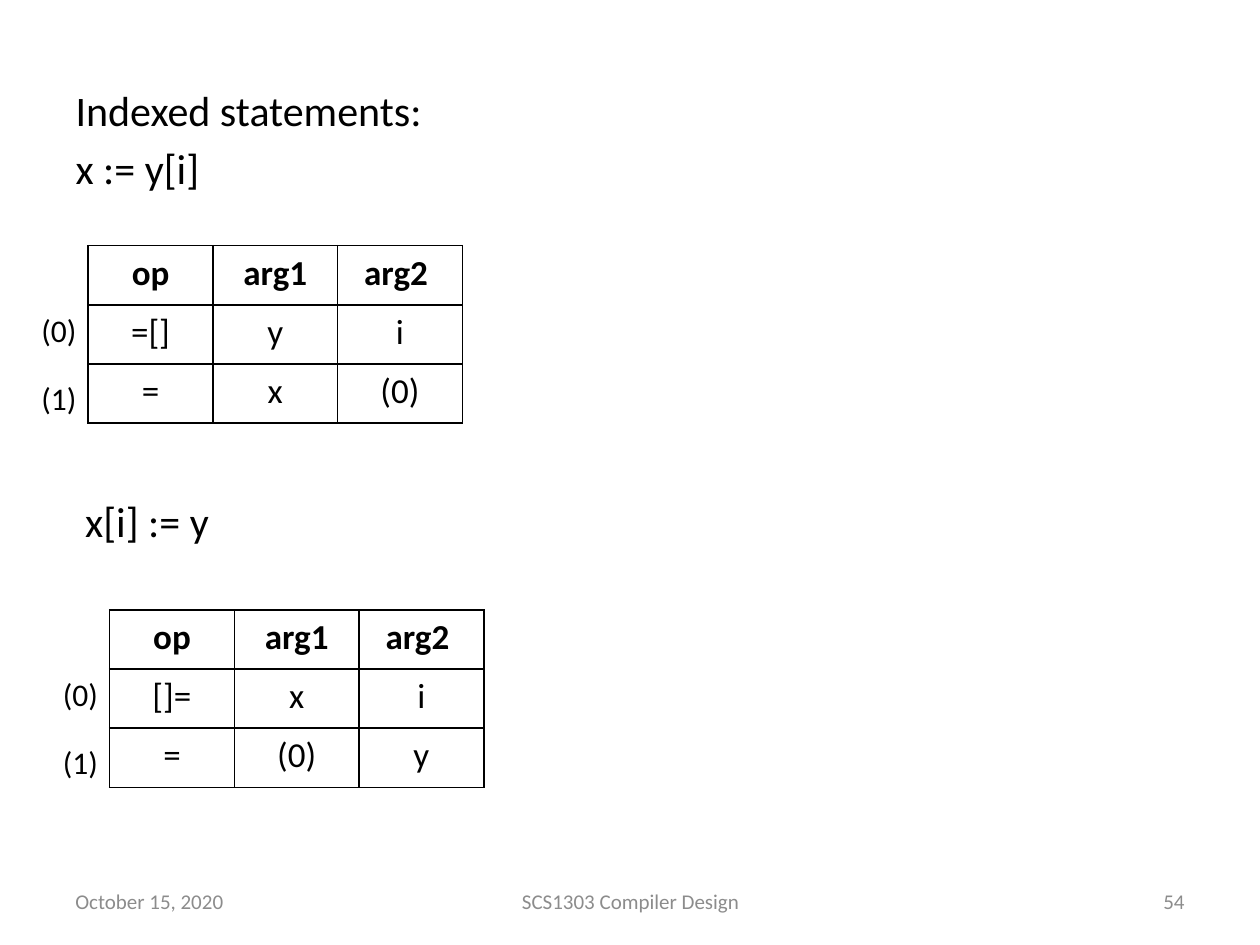
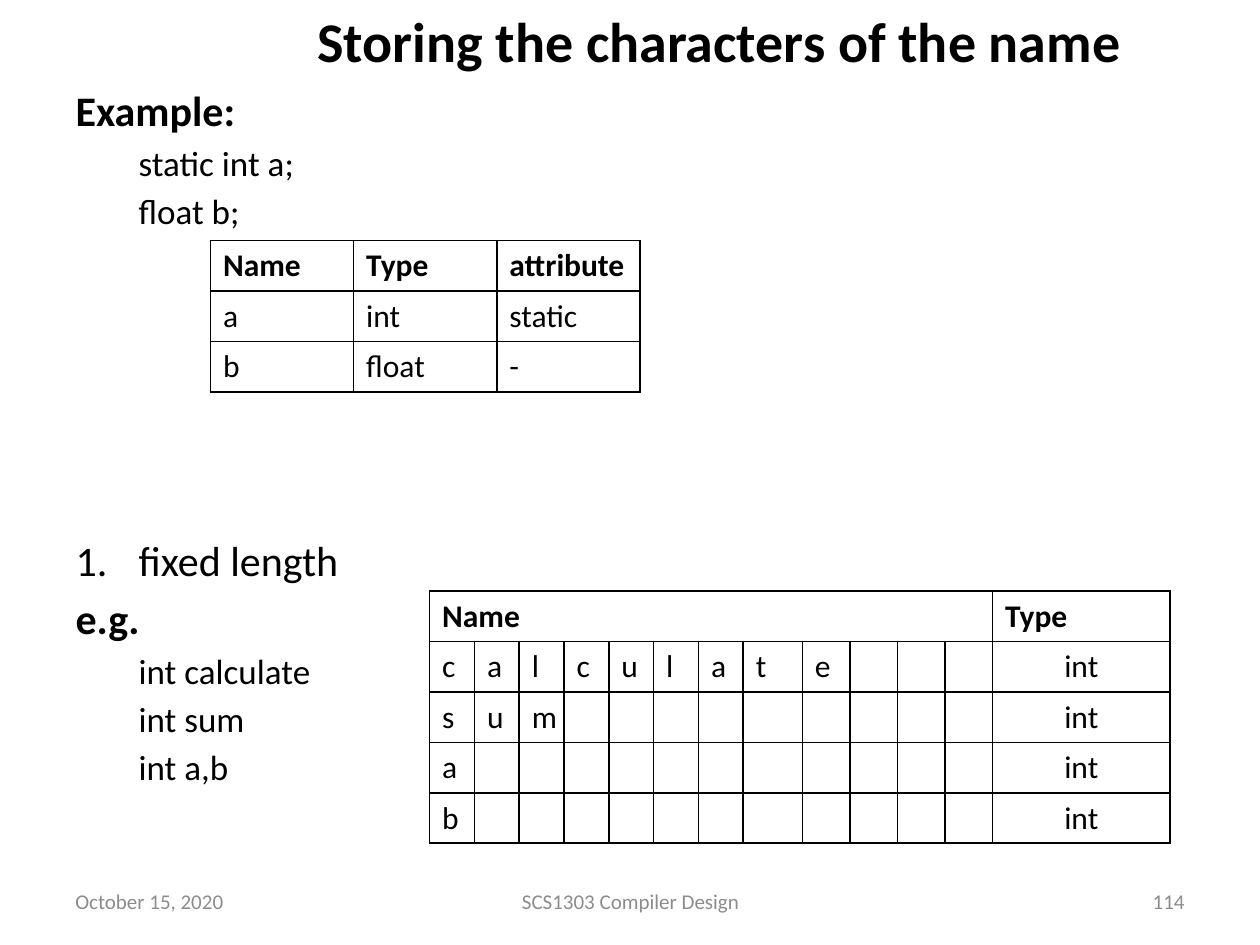
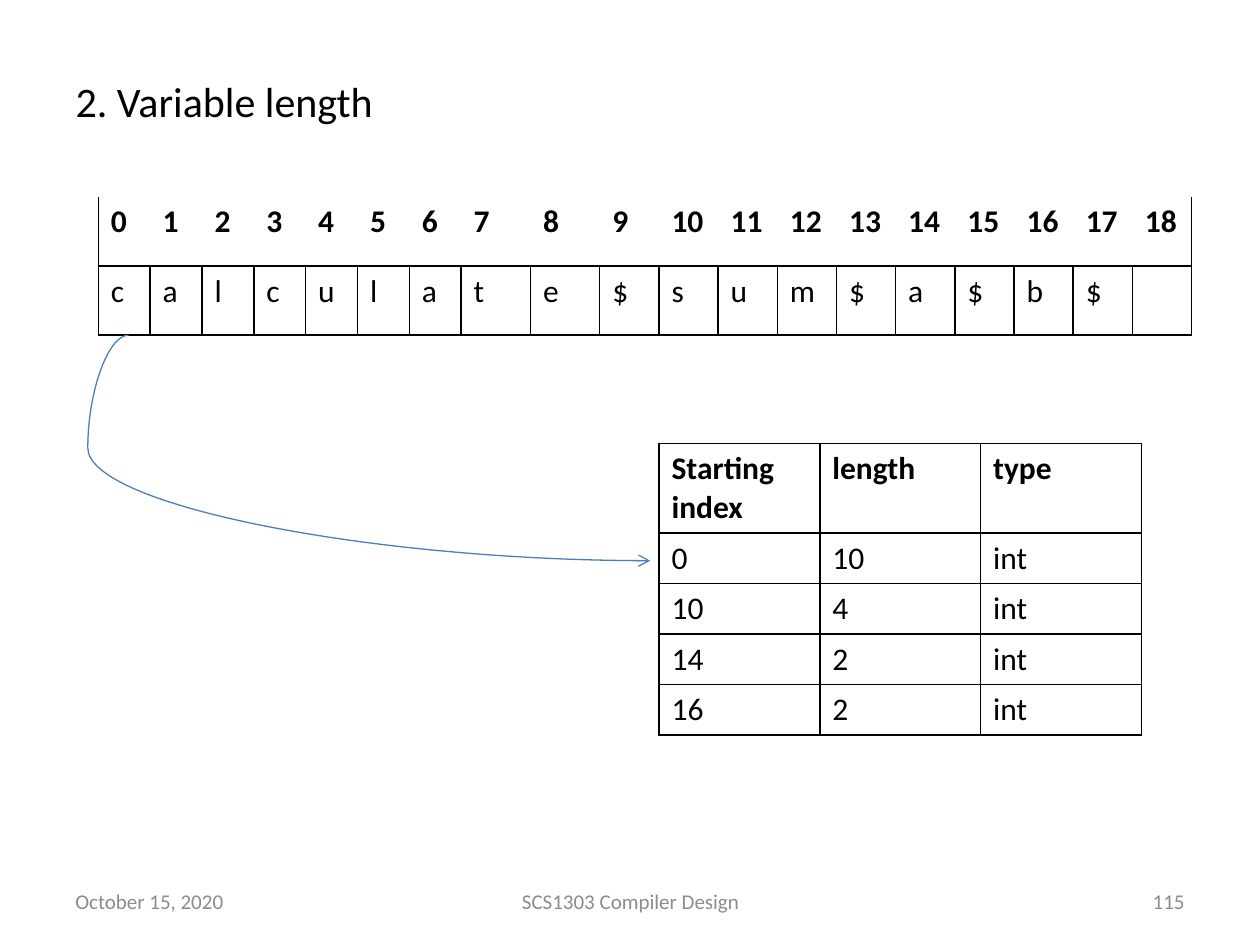
"""Build three slides on indexed statements and symbol table names."""
import pptx
import pptx.dml.color
import pptx.enum.shapes
import pptx.enum.text
import pptx.oxml
import pptx.oxml.ns
import pptx.util

Inches = pptx.util.Inches
Pt = pptx.util.Pt
RGB = pptx.dml.color.RGBColor
ALIGN = pptx.enum.text.PP_ALIGN
ANCHOR = pptx.enum.text.MSO_ANCHOR
FIT = pptx.enum.text.MSO_AUTO_SIZE
qn = pptx.oxml.ns.qn

BLACK = RGB(0, 0, 0)
GRAY = RGB(0x8C, 0x8C, 0x8C)
BLUE = RGB(0x4B, 0x7E, 0xBC)
FONT = "Calibri"
GAP = 173

FOOTS = [
    ("October 15, 2020", 0.5, 2.33, ALIGN.LEFT),
    ("SCS1303 Compiler Design", 3.42, 3.17, ALIGN.CENTER),
    ("{page}", 7.17, 2.33, ALIGN.RIGHT),
]

KINDS = {
    "text": {"size": 24, "left": 0.38, "hang": 0.38, "before": 4.4},
    "code": {"size": 20, "left": 0.81, "hang": 0.31, "before": 3.6, "level": 1},
    "item": {"size": 24, "left": 0.5, "hang": 0.5, "before": GAP, "number": True},
    "bold": {"size": 24, "left": 0.38, "hang": 0.38, "before": 4.4, "bold": True},
    "late": {"size": 24, "left": 0.38, "hang": 0.38, "before": GAP},
}

INDEXED = [
    ("text", "Indexed statements: "),
    ("text", "x := y[i]"),
    ("late", " x[i] := y"),
]
STORING = [
    ("bold", "Example:"),
    ("code", "static int a;"),
    ("code", "float b;"),
    ("item", "fixed length"),
    ("bold", "e.g."),
    ("code", "int calculate"),
    ("code", "int sum"),
    ("code", "int a,b"),
]
LENGTH = [("text", "2. Variable length")]

HEAD = ["op", "arg1", "arg2 "]
TRIPLES = [
    (0.7, 1.95, [HEAD, ["=[]", "y", "i"], ["=", "x", "(0)"]]),
    (0.87, 4.84, [HEAD, ["[]=", "x", "i"], ["=", "(0)", "y"]]),
]
TYPES = [
    ["Name", "Type", "attribute"],
    ["a", "int", "static"],
    ["b", "float", "-"],
]
NAMES = ["calculate", "sum", "a", "b"]
SLOTS = 12
POOL = "calculate$sum$a$b$ "
INDEX = [
    ["Starting index", "length", "type"],
    ["0", "10", "int"],
    ["10", "4", "int"],
    ["14", "2", "int"],
    ["16", "2", "int"],
]


def apply(thing, **values):
    """Set each named attribute."""
    for name, value in values.items():
        setattr(thing, name, value)


def write(para, text, size, color=BLACK, bold=False, align=ALIGN.LEFT):
    """Put formatted text in a paragraph."""
    para.alignment = align
    run = para.add_run()
    run.text = text
    apply(run.font, name=FONT, size=Pt(size), bold=bold)
    run.font.color.rgb = color


def place(shape, left, top, width, height):
    """Move and size a shape."""
    apply(shape, left=Inches(left), top=Inches(top),
          width=Inches(width), height=Inches(height))


def label(slide, box, text, size, wrap=True, anchor=ANCHOR.TOP, **look):
    """Add one line of text."""
    frame = slide.shapes.add_textbox(*map(Inches, box)).text_frame
    apply(frame, word_wrap=wrap, vertical_anchor=anchor)
    write(frame.paragraphs[0], text, size, **look)


def fill_body(shape, lines):
    """Write the body lines with their indents and spacing."""
    frame = shape.text_frame
    frame.auto_size = FIT.NONE
    for i, (kind, text) in enumerate(lines):
        look = KINDS[kind]
        para = frame.add_paragraph() if i else frame.paragraphs[0]
        write(para, text, look["size"], bold=look.get("bold", False),
              align=ALIGN.JUSTIFY)
        apply(para, level=look.get("level", 0), space_before=Pt(look["before"]))
        props = para._p.get_or_add_pPr()
        props.set("marL", str(Inches(look["left"])))
        props.set("indent", str(-Inches(look["hang"])))
        if look.get("number"):
            mark = pptx.oxml.parse_xml(
                f'<a:buAutoNum {pptx.oxml.ns.nsdecls("a")} type="arabicPeriod"/>')
        else:
            mark = pptx.oxml.parse_xml(f'<a:buNone {pptx.oxml.ns.nsdecls("a")}/>')
        props.append(mark)


def start(deck, page, lines, top=0.62, title=None):
    """Add a slide with body, footers and an optional title."""
    slide = deck.slides.add_slide(deck.slide_layouts[1])
    head, body = slide.placeholders
    place(body, 0.5, top, 9, 6.69 - top)
    fill_body(body, lines)
    if title:
        place(head, 2.42, 0, 6.95, 0.64)
        apply(head.text_frame, vertical_anchor=ANCHOR.TOP, auto_size=FIT.NONE)
        write(head.text_frame.paragraphs[0], title, 32, bold=True)
    else:
        head._element.getparent().remove(head._element)
    for text, left, width, align in FOOTS:
        label(slide, (left, 6.95, width, 0.4), text.format(page=page), 12,
              anchor=ANCHOR.MIDDLE, color=GRAY, align=align)
    return slide


def border(cell, sides):
    """Draw the named sides of a cell and hide the others."""
    props = cell._tc.get_or_add_tcPr()
    for i, side in enumerate("LRTB"):
        ink = (f'<a:solidFill><a:srgbClr val="{BLACK}"/></a:solidFill>'
               if side in sides else "<a:noFill/>")
        props.insert(i, pptx.oxml.parse_xml(
            f'<a:ln{side} {pptx.oxml.ns.nsdecls("a")} w="{Pt(1)}">{ink}</a:ln{side}>'))


def add_grid(slide, left, top, rows, groups, heights, size=18,
             align=ALIGN.LEFT, ruled=True):
    """Add a table whose columns come in groups of equal width."""
    widths = [total / count for count, total in groups for _ in range(count)]
    box = map(Inches, (left, top, sum(widths), sum(heights)))
    grid = slide.shapes.add_table(len(rows), len(widths), *box).table
    apply(grid, first_row=False, horz_banding=False)
    for col, width in zip(grid.columns, widths):
        col.width = Inches(width)
    for r, (row, height) in enumerate(zip(rows, heights)):
        grid.rows[r].height = Inches(height)
        for c, text in enumerate(row):
            cell = grid.cell(r, c)
            cell.fill.background()
            sides = "LRTB"
            if not ruled and r == 0:
                sides = "B" + "L" * (c == 0) + "R" * (c == len(row) - 1)
            border(cell, sides)
            para = cell.text_frame.paragraphs[0]
            para.font.size = Pt(size)
            if text.strip():
                write(para, text, size, bold=r == 0, align=align)
    return grid


def add_curve(slide, ends, bend):
    """Add a curved arrow."""
    kind = pptx.enum.shapes.MSO_CONNECTOR.CURVE
    curve = slide.shapes.add_connector(kind, *map(Inches, ends))
    curve.line.color.rgb = BLUE
    curve.line.width = Pt(0.75)
    props = curve._element.spPr
    guides = props.find(qn("a:prstGeom")).get_or_add_avLst()
    guides.append(pptx.oxml.parse_xml(
        f'<a:gd {pptx.oxml.ns.nsdecls("a")} name="adj1" fmla="val {bend}"/>'))
    props.find(qn("a:ln")).append(pptx.oxml.parse_xml(
        f'<a:tailEnd {pptx.oxml.ns.nsdecls("a")} type="arrow"/>'))
    props.append(pptx.oxml.parse_xml(f'<a:effectLst {pptx.oxml.ns.nsdecls("a")}/>'))


def indexed(deck):
    """Show triples for indexed statements."""
    slide = start(deck, 54, INDEXED)
    for left, top, rows in TRIPLES:
        add_grid(slide, left, top, rows, [(3, 2.97)], [0.47] * 3,
                 size=20, align=ALIGN.CENTER)
        for i in range(2):
            label(slide, (left - 0.47, top + 0.47 + 0.54 * i, 0.48, 0.4),
                  f"({i})", 18, wrap=False)


def storing(deck):
    """Show names kept in fixed-length slots."""
    slide = start(deck, 114, STORING, title="Storing the characters of the name")
    add_grid(slide, 1.67, 1.91, TYPES, [(3, 3.41)], [0.4] * 3)
    rows = [["Name"] + [""] * (SLOTS - 1) + ["Type"]]
    rows += [list(name.ljust(SLOTS)) + ["int"] for name in NAMES]
    groups = [(7, 2.49), (1, 0.47), (4, 1.51), (1, 1.41)]
    grid = add_grid(slide, 3.41, 4.69, rows, groups, [0.4] * 5)
    grid.cell(0, 0).merge(grid.cell(0, SLOTS - 1))
    for r in range(1, len(rows)):
        grid.cell(r, SLOTS).text_frame.paragraphs[0].alignment = ALIGN.CENTER


def variable(deck):
    """Show names kept in one shared string."""
    slide = start(deck, 115, LENGTH, top=0.55)
    rows = [[str(i) for i in range(len(POOL))], list(POOL)]
    groups = [(7, 2.88), (2, 1.1), (10, 4.7)]
    add_grid(slide, 0.78, 1.56, rows, groups, [0.55] * 2, ruled=False)
    add_grid(slide, 5.23, 3.52, INDEX, [(3, 3.83)], [0.71] + [0.4] * 4)
    add_curve(slide, (1.02, 2.66, 5.16, 4.45), -7800)


def main():
    """Build and save the deck."""
    deck = pptx.Presentation()
    apply(deck, slide_width=Inches(10), slide_height=Inches(7.5))
    for build in (indexed, storing, variable):
        build(deck)
    deck.save("out.pptx")


if __name__ == "__main__":
    main()
